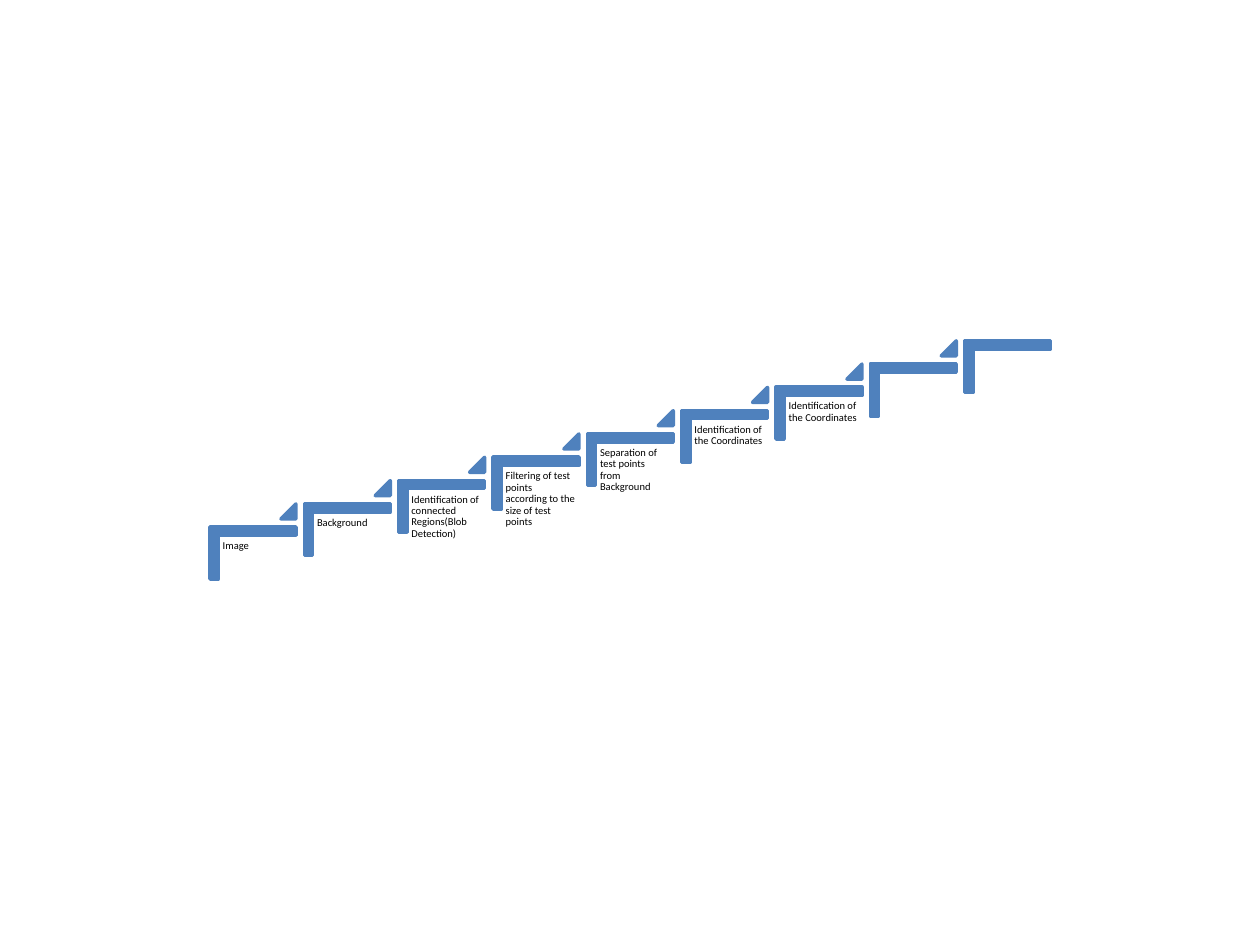
from pptx import Presentation
from pptx import util as u
from pptx.dml.color import RGBColor
from pptx.enum import shapes

BLUE = RGBColor(0x4F, 0x81, 0xBD)
BLACK = RGBColor(0, 0, 0)
CORNER = shapes.MSO_SHAPE.from_xml("corner")
TRIANGLE = shapes.MSO_SHAPE.ISOSCELES_TRIANGLE
SCALE = 914400 / 126
STEP_RUN, STEP_RISE = 94.33, 23.31
STEPS = [
    "Image",
    "Background",
    "Identification of connected Regions(Blob Detection)",
    "Filtering of test points  according to the size of test points",
    "Separation of  test points  from  Background",
    "Identification of the Coordinates",
    "Identification of the Coordinates",
    "",
    "",
]


def emu(*pixels):
    return [u.Emu(round(pixel * SCALE)) for pixel in pixels]


def add_blue_shape(slide, kind, box, adjustments):
    shape = slide.shapes.add_shape(kind, *emu(*box))
    shape.shadow.inherit = False
    shape.fill.solid()
    shape.fill.fore_color.rgb = BLUE
    shape.line.color.rgb = BLUE
    shape.line.width = u.Pt(2)
    for index, value in enumerate(adjustments):
        shape.adjustments[index] = value
    return shape


def add_label(slide, box, words):
    label = slide.shapes.add_textbox(*emu(*box))
    frame = label.text_frame
    frame.word_wrap = True
    frame.margin_left = frame.margin_right = u.Inches(0.03)
    frame.margin_top = frame.margin_bottom = u.Inches(0.03)
    paragraph = frame.paragraphs[0]
    paragraph.text = words
    paragraph.line_spacing = 0.9
    paragraph.font.size = u.Pt(6)
    paragraph.font.name = "Calibri"
    paragraph.font.color.rgb = BLACK


def add_step(slide, left, top, words, has_next):
    corner = add_blue_shape(slide, CORNER,
                            (left + 17, top - 17, 52, 86), (0.161, 0.161))
    corner.rotation = 90
    if words:
        add_label(slide, (left + 9, top + 10, 77, 68), words)
    if has_next:
        add_blue_shape(slide, TRIANGLE,
                       (left + 71, top - 23, 15, 15), (1,))


def add_staircase(slide, left, top):
    for index, words in enumerate(STEPS):
        add_step(slide, left + index * STEP_RUN, top - index * STEP_RISE,
                 words, index < len(STEPS) - 1)


presentation = Presentation()
presentation.slide_width, presentation.slide_height = emu(1260, 945)
slide = presentation.slides.add_slide(presentation.slide_layouts[6])
add_staircase(slide, 210, 527)
presentation.save("out.pptx")
